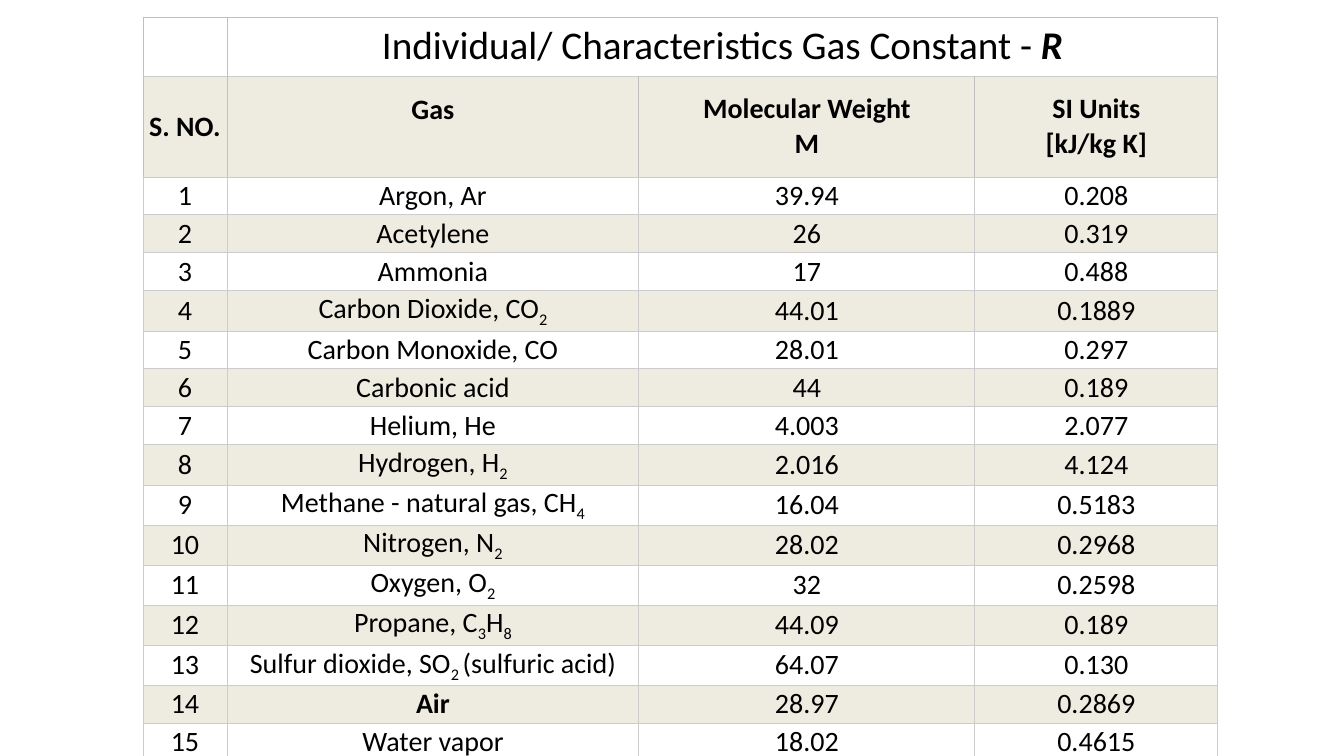
from lxml import etree
from pptx import Presentation
from pptx.dml.color import RGBColor
from pptx.enum.text import MSO_ANCHOR, PP_ALIGN
from pptx.oxml.ns import qn
from pptx.util import Pt

TITLE = ("Individual/ Characteristics Gas Constant - ", "R")
HEADINGS = ("S. NO.", "Gas", "Molecular Weight\vM", "SI Units\v[kJ/kg K]")
# Every second part between bars is a subscript.
GASES = [
    ("Argon, Ar", "39.94", "0.208"),
    ("Acetylene", "26", "0.319"),
    ("Ammonia", "17", "0.488"),
    ("Carbon Dioxide, CO|2", "44.01", "0.1889"),
    ("Carbon Monoxide, CO", "28.01", "0.297"),
    ("Carbonic acid", "44", "0.189"),
    ("Helium, He", "4.003", "2.077"),
    ("Hydrogen, H|2", "2.016", "4.124"),
    ("Methane - natural gas, CH|4", "16.04", "0.5183"),
    ("Nitrogen, N|2", "28.02", "0.2968"),
    ("Oxygen, O|2", "32", "0.2598"),
    ("Propane, C|3|H|8", "44.09", "0.189"),
    ("Sulfur dioxide, SO|2 |(sulfuric acid)", "64.07", "0.130"),
    ("Air", "28.97", "0.2869"),
    ("Water vapor", "18.02", "0.4615"),
]
BOLD_GAS = "Air"

PX = 914400 / 100.8
SLIDE_WIDTH, SLIDE_HEIGHT = 1344, 756
TABLE_LEFT, TABLE_TOP = 143, 17
COLUMN_WIDTHS = (84, 412, 336, 243)
ROW_HEIGHTS = (59, 101) + (38,) * len(GASES)
CELL_MARGIN = 1
HEADING_LINE = 34

FONT = "Calibri"
TITLE_SIZE, TEXT_SIZE = Pt(28), Pt(20)
BLACK = RGBColor(0x00, 0x00, 0x00)
BAND = RGBColor(0xEE, 0xEC, 0xE1)
GRID = RGBColor(0xCC, 0xCC, 0xCC)
HEAD_GRID = RGBColor(0xC0, 0xC0, 0xC0)
CENTER, MIDDLE = PP_ALIGN.CENTER, MSO_ANCHOR.MIDDLE


def px(length):
    return round(length * PX)


def draw_borders(cell, row):
    """Grey grid; the sides of the two head rows and the top edge are darker."""
    side = HEAD_GRID if row < 2 else GRID
    top = HEAD_GRID if row == 0 else GRID
    properties = cell._tc.get_or_add_tcPr()
    for edge, color in (("L", side), ("R", side), ("T", top), ("B", GRID)):
        line = etree.SubElement(properties, qn(f"a:ln{edge}"), w=str(Pt(0.75)))
        fill = etree.SubElement(line, qn("a:solidFill"))
        etree.SubElement(fill, qn("a:srgbClr"), val=str(color))


def style_cell(cell, row):
    draw_borders(cell, row)
    if row % 2:
        cell.fill.solid()
        cell.fill.fore_color.rgb = BAND
    else:
        cell.fill.background()
    cell.vertical_anchor = MIDDLE
    cell.margin_left = cell.margin_right = px(CELL_MARGIN)
    cell.margin_top = cell.margin_bottom = px(CELL_MARGIN)


def write(cell, parts, size=TEXT_SIZE, bold=False):
    """Put the first part in the cell and add a run for each further one."""
    paragraph = cell.text_frame.paragraphs[0]
    paragraph.text = parts[0]
    paragraph.alignment = CENTER
    for part in parts[1:]:
        paragraph.add_run().text = part
    for run in paragraph.runs:
        run.font.name = FONT
        run.font.size = size
        run.font.bold = bold
        run.font.color.rgb = BLACK
    return paragraph.runs


def write_gas_row(table, row, values):
    for column, value in enumerate(values):
        runs = write(table.cell(row, column), value.split("|"), bold=value == BOLD_GAS)
        for subscript in runs[1::2]:
            subscript.font._element.set("baseline", "-25000")


def build_table(slide):
    frame = slide.shapes.add_table(
        len(ROW_HEIGHTS), len(COLUMN_WIDTHS), px(TABLE_LEFT), px(TABLE_TOP),
        px(sum(COLUMN_WIDTHS)), px(sum(ROW_HEIGHTS)))
    table = frame.table
    table.first_row = table.horz_banding = False
    for column, width in zip(table.columns, COLUMN_WIDTHS):
        column.width = px(width)
    for index, (row, height) in enumerate(zip(table.rows, ROW_HEIGHTS)):
        row.height = px(height)
        for cell in row.cells:
            style_cell(cell, index)

    title = table.cell(0, 1)
    title.merge(table.cell(0, len(COLUMN_WIDTHS) - 1))
    symbol = write(title, TITLE, TITLE_SIZE)[-1]
    symbol.font.bold = symbol.font.italic = True

    for column, heading in enumerate(HEADINGS):
        write(table.cell(1, column), [heading], bold=True)
    # Lifts "Gas" to the first line of the two-line headings.
    table.cell(1, 1).margin_bottom = px(CELL_MARGIN + HEADING_LINE)

    for number, gas in enumerate(GASES, start=1):
        write_gas_row(table, number + 1, (str(number), *gas))


def main():
    presentation = Presentation()
    presentation.slide_width = px(SLIDE_WIDTH)
    presentation.slide_height = px(SLIDE_HEIGHT)
    build_table(presentation.slides.add_slide(presentation.slide_layouts[6]))
    presentation.save("out.pptx")


if __name__ == "__main__":
    main()
